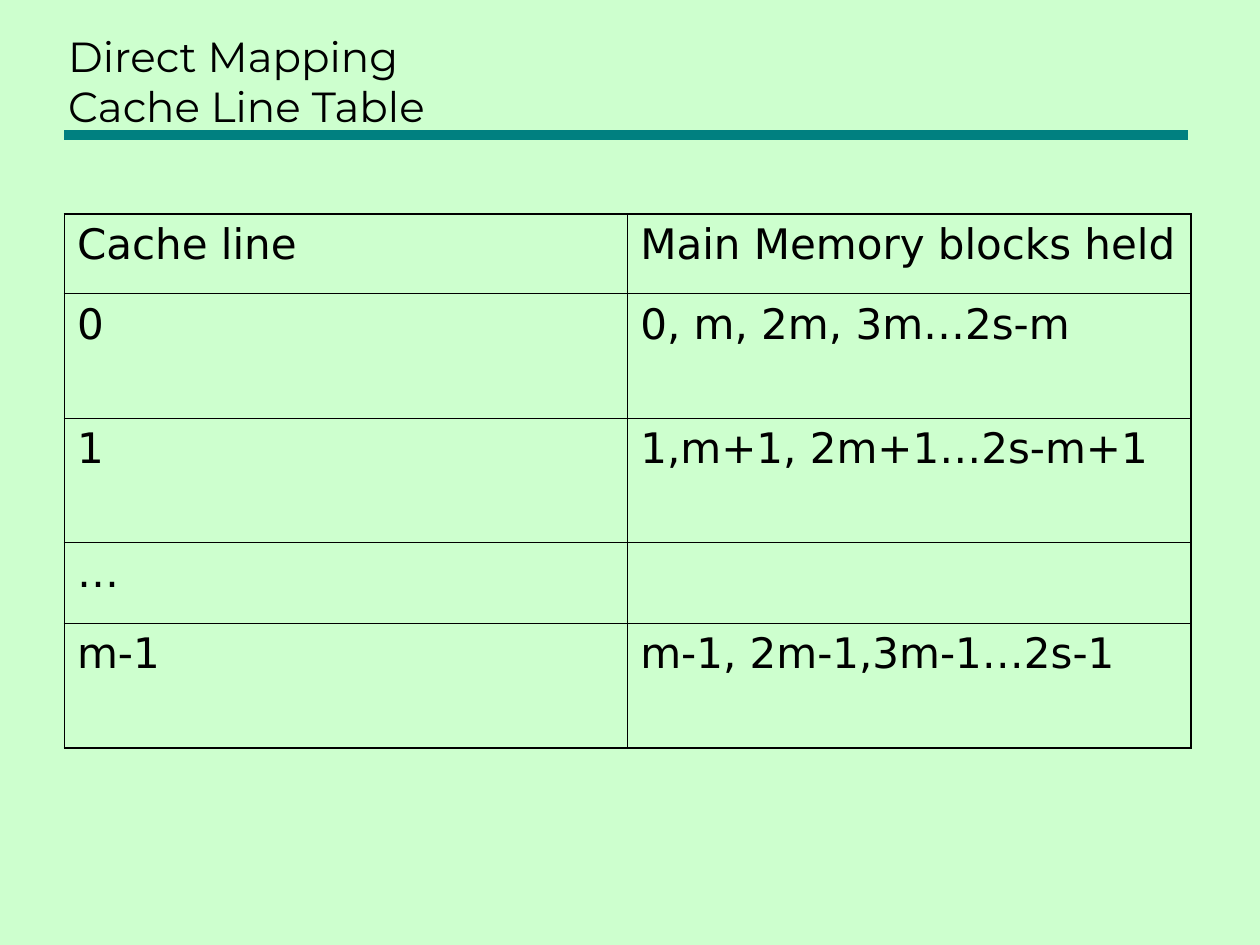
"""Build the direct mapping cache line table slide."""
from lxml.etree import SubElement
from pptx import Presentation
from pptx.dml.color import RGBColor
from pptx.enum.text import MSO_ANCHOR as ANCHOR, MSO_AUTO_SIZE as AUTO, PP_ALIGN as ALIGN
from pptx.enum.shapes import MSO_CONNECTOR as CONN
from pptx.oxml.ns import qn
from pptx.util import Cm, Pt

ROWS = [
    ("Cache line", "Main Memory blocks held"),
    ("0", "0, m, 2m, 3m…2s-m"),
    ("1", "1,m+1, 2m+1…2s-m+1"),
    ("…", ""),
    ("m-1", "m-1, 2m-1,3m-1…2s-1"),
]
ROW_HEIGHTS = [1.6, 2.51, 2.51, 1.63, 2.51]


def rgb(value):
    return RGBColor.from_string(value)


def write(tf, text, font, size=24, color="000000", before=0):
    p = tf.paragraphs[0]
    p.text = text
    p.alignment = ALIGN.LEFT
    p.space_before = Pt(before)
    for r in p.runs:
        r.font.name = font
        r.font.size = Pt(size)
        r.font.color.rgb = rgb(color)
    for br in p._p.findall(qn("a:br")):
        SubElement(br, qn("a:rPr"), sz=str(size * 100))


class Deck:
    title_font = "Montserrat"
    body_font = "DejaVu Sans"
    background = "CDFFCE"
    accent = "008080"
    ink = "000000"
    outer, inner = 1.08, 0.45

    def __init__(self, prs):
        self.s = prs.slides.add_slide(prs.slide_layouts[5])
        fill = self.s.background.fill
        fill.solid()
        fill.fore_color.rgb = rgb(self.background)

    def rule(self, x1, x2, y, width):
        line = self.s.shapes.add_connector(CONN.STRAIGHT, Cm(x1), Cm(y), Cm(x2), Cm(y))
        line.line.color.rgb = rgb(self.accent)
        line.line.width = Pt(width)
        SubElement(line._element.spPr, qn("a:effectLst"))

    def title(self, text, x, y, w, h):
        sp = self.s.shapes.title
        sp.left, sp.top, sp.width, sp.height = Cm(x), Cm(y), Cm(w), Cm(h)
        tf = sp.text_frame
        tf.word_wrap = True
        tf.auto_size = AUTO.NONE
        tf.vertical_anchor = ANCHOR.BOTTOM
        write(tf, text, self.title_font, color=self.ink)

    def borders(self, cell, widths):
        tc_pr = cell._tc.get_or_add_tcPr()
        for i, (side, width) in enumerate(widths.items()):
            ln = tc_pr.makeelement(qn(f"a:ln{side}"), w=str(int(Pt(width))))
            fill = SubElement(ln, qn("a:solidFill"))
            SubElement(fill, qn("a:srgbClr"), val=self.ink)
            tc_pr.insert(i, ln)

    def table(self, rows, heights, x, y, w):
        n_rows, n_cols = len(rows), len(rows[0])
        frame = self.s.shapes.add_table(n_rows, n_cols, Cm(x), Cm(y), Cm(w), Cm(sum(heights)))
        table = frame.table
        table.first_row = table.horz_banding = False
        for row, height in zip(table.rows, heights):
            row.height = Cm(height)
        for i, values in enumerate(rows):
            for j, text in enumerate(values):
                cell = table.cell(i, j)
                cell.fill.background()
                write(cell.text_frame, text, self.body_font, color=self.ink, before=6)
                edges = {"L": j == 0, "R": j == n_cols - 1, "T": i == 0, "B": i == n_rows - 1}
                self.borders(cell, {side: self.outer if edge else self.inner
                                    for side, edge in edges.items()})


def main():
    prs = Presentation()
    prs.slide_width, prs.slide_height = Cm(25.4), Cm(19.05)
    deck = Deck(prs)
    deck.rule(1.3, 23.95, 2.72, 6)
    deck.title("Direct Mapping \vCache Line Table", 1.12, 0.43, 22.78, 2.34)
    deck.table(ROWS, ROW_HEIGHTS, 1.3, 4.32, 22.71)
    prs.save("out.pptx")


if __name__ == "__main__":
    main()
